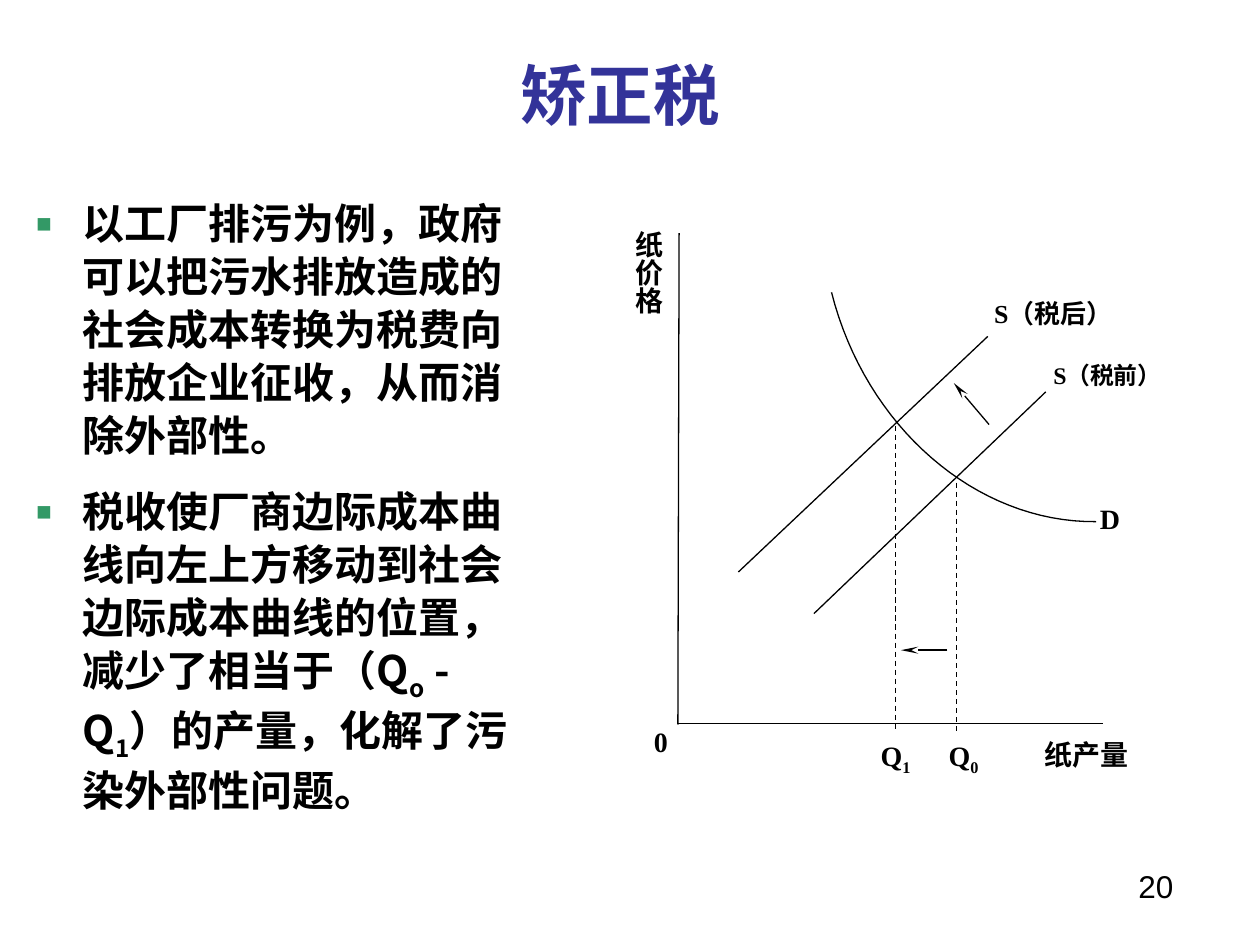
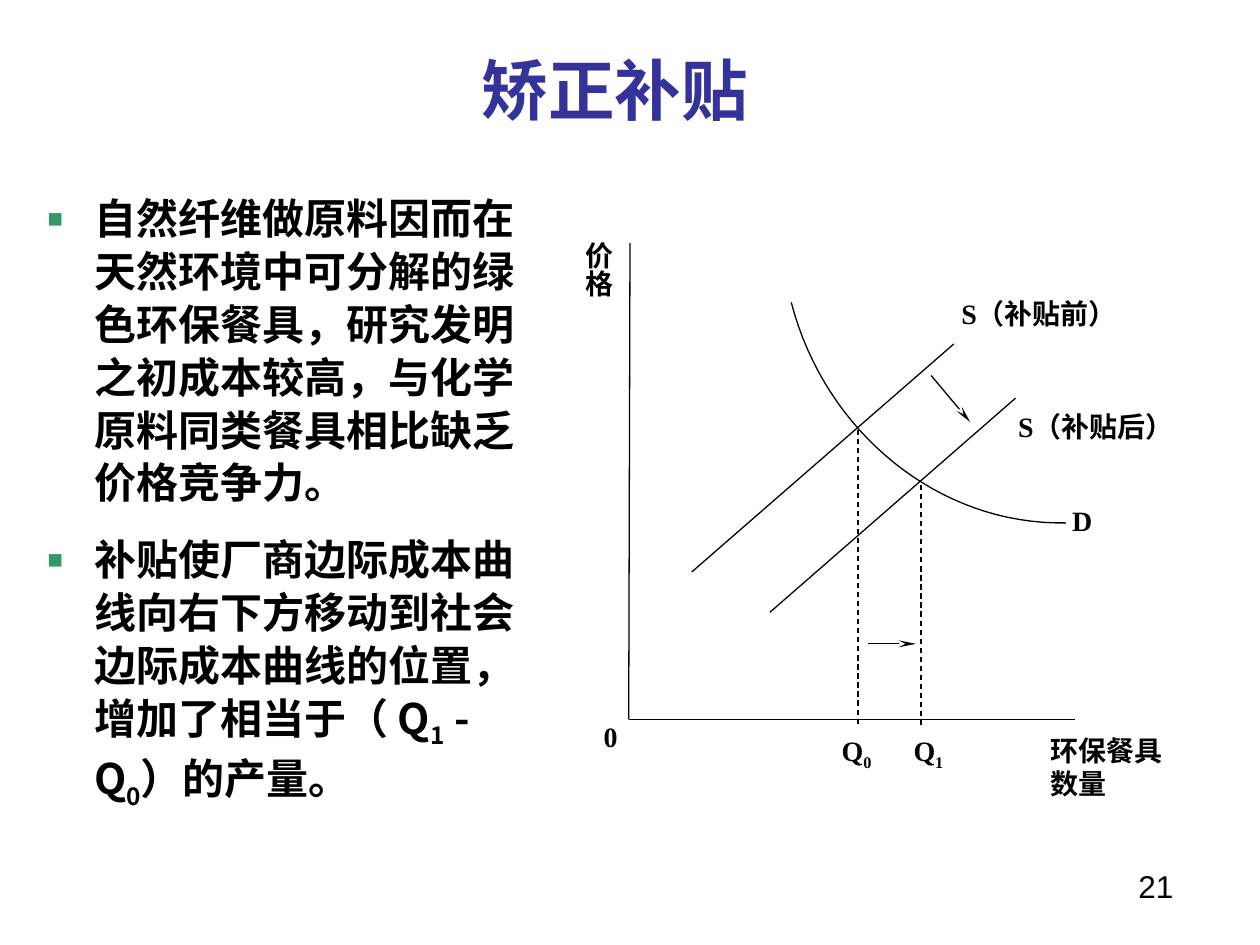
from pptx import Presentation
from pptx.util import Inches, Pt
from pptx.dml.color import RGBColor
from pptx.enum.dml import MSO_LINE_DASH_STYLE as DASH
from pptx.enum.shapes import MSO_CONNECTOR
from pptx.enum.text import MSO_ANCHOR, MSO_AUTO_SIZE, PP_ALIGN as ALIGN
from pptx.oxml import parse_xml
from pptx.oxml.ns import nsdecls

# Shared style
rgb = RGBColor.from_string
BLACK, TITLE, BULLET = "000000", "333399", "339966"
HEAD_FONT, BODY_FONT = "Vollkorn", "Noto Sans CJK SC"
LABEL_FONT, NUMBER_FONT = "Times New Roman", "Arial"
INDENT = Inches(0.38)
BULLET_XML = (
    f'<a:buClr {nsdecls("a")}><a:srgbClr val="{BULLET}"/></a:buClr>',
    f'<a:buSzPct {nsdecls("a")} val="120000"/>',
    f'<a:buFont {nsdecls("a")} typeface="{NUMBER_FONT}"/>',
    f'<a:buChar {nsdecls("a")} char="▪"/>',
)
CURVE_STEPS = 32

# Lines: (x1, y1, x2, y2); labels: (text, left, top, width, height, size).
# An underscore makes the next character a subscript.
SLIDES = [
    dict(
        number="20", title="矫正税", title_box=(0.51, 0.33, 8.82, 0.83),
        body_box=(0.18, 1.5, 3.96, 6),
        body=["以工厂排污为例，政府可以把污水排放造成的社会成本转换为税费向排放企业征收，从而消除外部性。",
              "税收使厂商边际成本曲线向左上方移动到社会边际成本曲线的位置，"
              "减少了相当于（Q_o - Q_1）的产量，化解了污染外部性问题。"],
        axes=[(5.38, 5.74, 8.75, 5.74), (5.38, 5.75, 5.39, 1.85)],
        supply=[(5.86, 4.54, 7.84, 2.67), (6.46, 4.87, 8.3, 3.11)],
        drops=[(7.59, 3.83, 7.59, 5.81), (7.11, 3.38, 7.11, 5.8)],
        arrows=[(7.85, 3.37, 7.57, 3.04), (7.52, 5.16, 7.15, 5.16)],
        demand=[(8.7, 4.14), (7.75, 4.15), (6.87, 3.39), (6.6, 2.32)],
        price=("纸价格", 4.92, 1.83, 0.36, 0.84, 16),
        labels=[("纸产量", 8.29, 5.85, 0.94, 0.49, 16),
                ("S（税后）", 7.89, 2.39, 1.02, 0.36, 14.8),
                ("S（税前）", 8.36, 2.89, 0.97, 0.36, 13.6),
                ("D", 8.73, 3.98, 0.24, 0.35, 16),
                ("Q_0", 7.53, 5.86, 0.4, 0.48, 16),
                ("Q_1", 6.99, 5.86, 0.44, 0.48, 16),
                ("0", 5.19, 5.75, 0.15, 0.29, 16)],
    ),
    dict(
        number="21", title="矫正补贴", title_box=(0.51, 0.33, 8.74, 0.75),
        body_box=(0.27, 1.46, 3.93, 6.04),
        body=["自然纤维做原料因而在天然环境中可分解的绿色环保餐具，研究发明之初成本较高，"
              "与化学原料同类餐具相比缺乏价格竞争力。",
              "补贴使厂商边际成本曲线向右下方移动到社会边际成本曲线的位置，"
              "增加了相当于（ Q_1 - Q_0）的产量。"],
        axes=[(4.99, 5.71, 8.53, 5.71), (4.99, 5.71, 5, 1.93)],
        supply=[(5.49, 4.54, 7.57, 2.73), (6.11, 4.86, 8.06, 3.16)],
        drops=[(7.31, 3.85, 7.31, 5.77), (6.81, 3.41, 6.81, 5.76)],
        arrows=[(7.39, 2.98, 7.7, 3.35), (6.89, 5.11, 7.27, 5.11)],
        demand=[(8.46, 4.15), (7.46, 4.17), (6.55, 3.44), (6.28, 2.4)],
        price=("价格", 4.5, 1.92, 0.38, 0.81, 16),
        labels=[("环保餐具\n数量", 8.34, 5.82, 1.21, 0.68, 16),
                ("S（补贴前）", 7.63, 2.35, 1.53, 0.35, 16),
                ("S（补贴后）", 8.08, 3.25, 1.6, 0.38, 16),
                ("D", 8.51, 4, 0.25, 0.34, 16),
                ("Q_1", 7.25, 5.82, 0.39, 0.44, 16),
                ("Q_0", 6.68, 5.82, 0.35, 0.33, 16),
                ("0", 4.79, 5.71, 0.16, 0.28, 16)],
    ),
]


def add_runs(p, text, font, size, color=BLACK, bold=True):
    first, *rest = text.split("_")
    parts = [(first, False)]
    for part in rest:
        parts += [(part[0], True), (part[1:], False)]
    for part, is_sub in parts:
        if part:
            r = p.add_run()
            r.text = part
            r.font.name, r.font.size, r.font.bold = font, Pt(size), bold
            r.font.color.rgb = rgb(color)
            if is_sub:
                r.font._element.set("baseline", "-25000")


def add_text(s, box, paragraphs, font, size, margins=(0, 0), bold=True):
    sp = s.shapes.add_textbox(*map(Inches, box))
    tf = sp.text_frame
    tf.word_wrap = True
    tf.margin_left = tf.margin_right = Inches(margins[0])
    tf.margin_top = tf.margin_bottom = Inches(margins[1])
    for i, text in enumerate(paragraphs):
        p = tf.add_paragraph() if i else tf.paragraphs[0]
        add_runs(p, text, font, size, bold=bold)
    return tf


prs = Presentation()
prs.slide_width, prs.slide_height = Inches(10), Inches(7.5)

for data in SLIDES:
    s = prs.slides.add_slide(prs.slide_layouts[5])

    # Title
    sp = s.shapes.title
    sp.left, sp.top, sp.width, sp.height = map(Inches, data["title_box"])
    tf = sp.text_frame
    tf.auto_size = MSO_AUTO_SIZE.NONE
    tf.vertical_anchor = MSO_ANCHOR.MIDDLE
    tf.paragraphs[0].alignment = ALIGN.CENTER
    add_runs(tf.paragraphs[0], data["title"], HEAD_FONT, 38, TITLE)

    # Page number
    tf = add_text(s, (7.33, 6.83, 2.08, 0.5), [data["number"]], NUMBER_FONT, 18,
                  (0.1, 0.05), bold=False)
    tf.paragraphs[0].alignment = ALIGN.RIGHT

    # Bulleted body
    tf = add_text(s, data["body_box"], data["body"], BODY_FONT, 24, (0.1, 0.05))
    for i, p in enumerate(tf.paragraphs):
        pPr = p._p.get_or_add_pPr()
        pPr.set("marL", str(INDENT))
        pPr.set("indent", str(-INDENT))
        for xml in BULLET_XML:
            pPr.append(parse_xml(xml))
        p.line_spacing = 1.05
        p.space_before = Pt(13.5 if i else 0)

    # Axes, supply lines, dashed drops and shift arrows
    for kind in ("axes", "supply", "drops", "arrows"):
        for ends in data[kind]:
            line = s.shapes.add_connector(MSO_CONNECTOR.STRAIGHT, *map(Inches, ends))
            line.line.color.rgb = rgb(BLACK)
            line.line.width = Pt(0.75)
            line._element.spPr.append(parse_xml(f'<a:effectLst {nsdecls("a")}/>'))
            if kind == "drops":
                line.line.dash_style = DASH.DASH
            if kind == "arrows":
                ln = line.line._get_or_add_ln()
                ln.append(parse_xml(
                    f'<a:tailEnd {nsdecls("a")} type="stealth" w="sm" len="lg"/>'))

    # Demand curve, traced along a cubic Bézier
    points = []
    for step in range(CURVE_STEPS + 1):
        t = step / CURVE_STEPS
        weights = ((1 - t) ** 3, 3 * t * (1 - t) ** 2, 3 * t * t * (1 - t), t ** 3)
        points.append([Inches(sum(w * c for w, c in zip(weights, axis)))
                       for axis in zip(*data["demand"])])
    builder = s.shapes.build_freeform(*points[0])
    builder.add_line_segments(points[1:], close=False)
    curve = builder.convert_to_shape()
    curve.shadow.inherit = False
    curve.fill.background()
    curve.line.color.rgb = rgb(BLACK)
    curve.line.width = Pt(0.75)

    # Diagram labels, with the price axis label set vertically
    for text, *box, size in [data["price"], *data["labels"]]:
        tf = add_text(s, box, text.split("\n"), LABEL_FONT, size)
        is_price = text == data["price"][0]
        for p in tf.paragraphs:
            p.alignment = ALIGN.CENTER if is_price else ALIGN.JUSTIFY
            if size < 16:
                p.line_spacing = 0.9
        if is_price:
            tf._txBody.bodyPr.set("vert", "eaVert")

prs.save("out.pptx")
